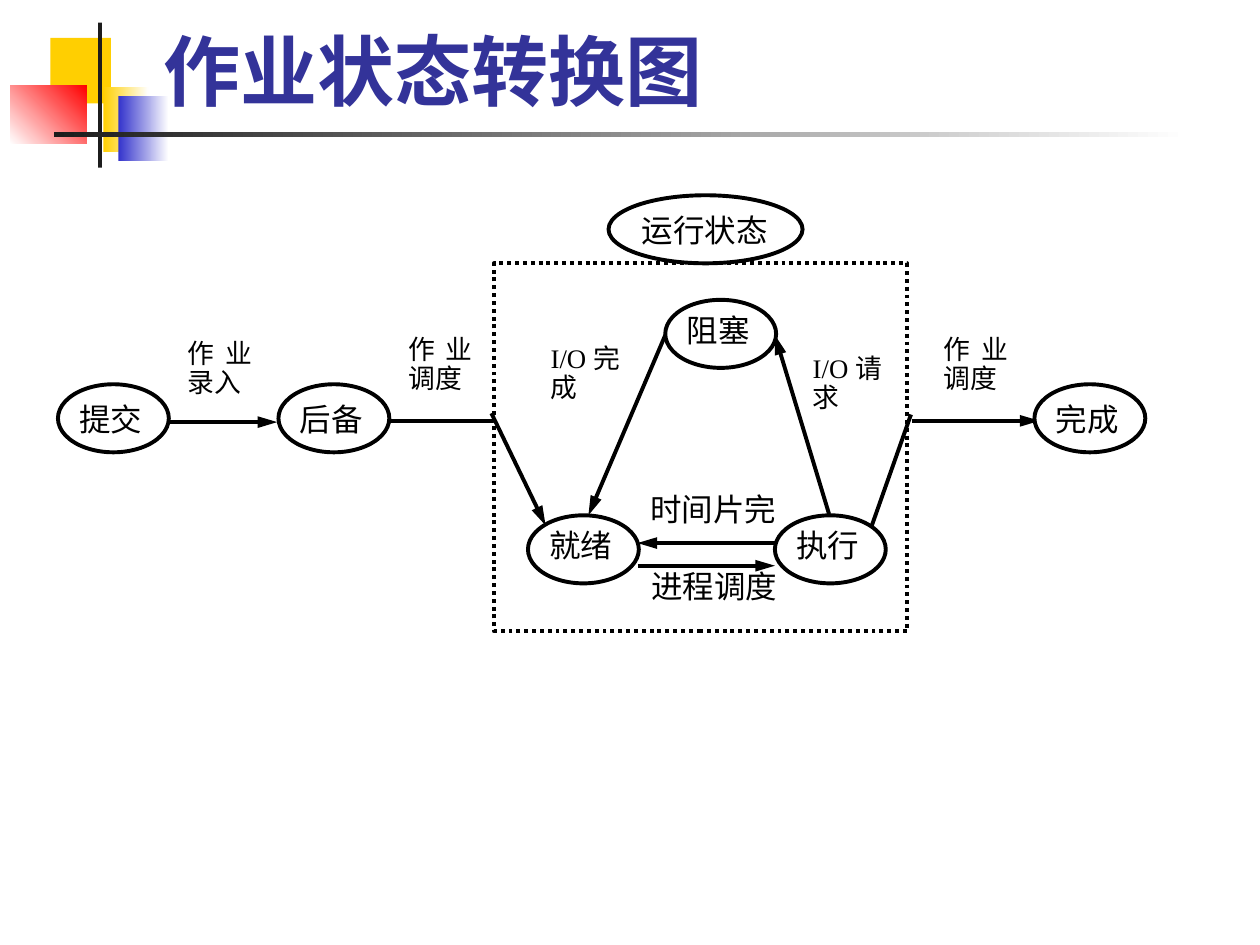
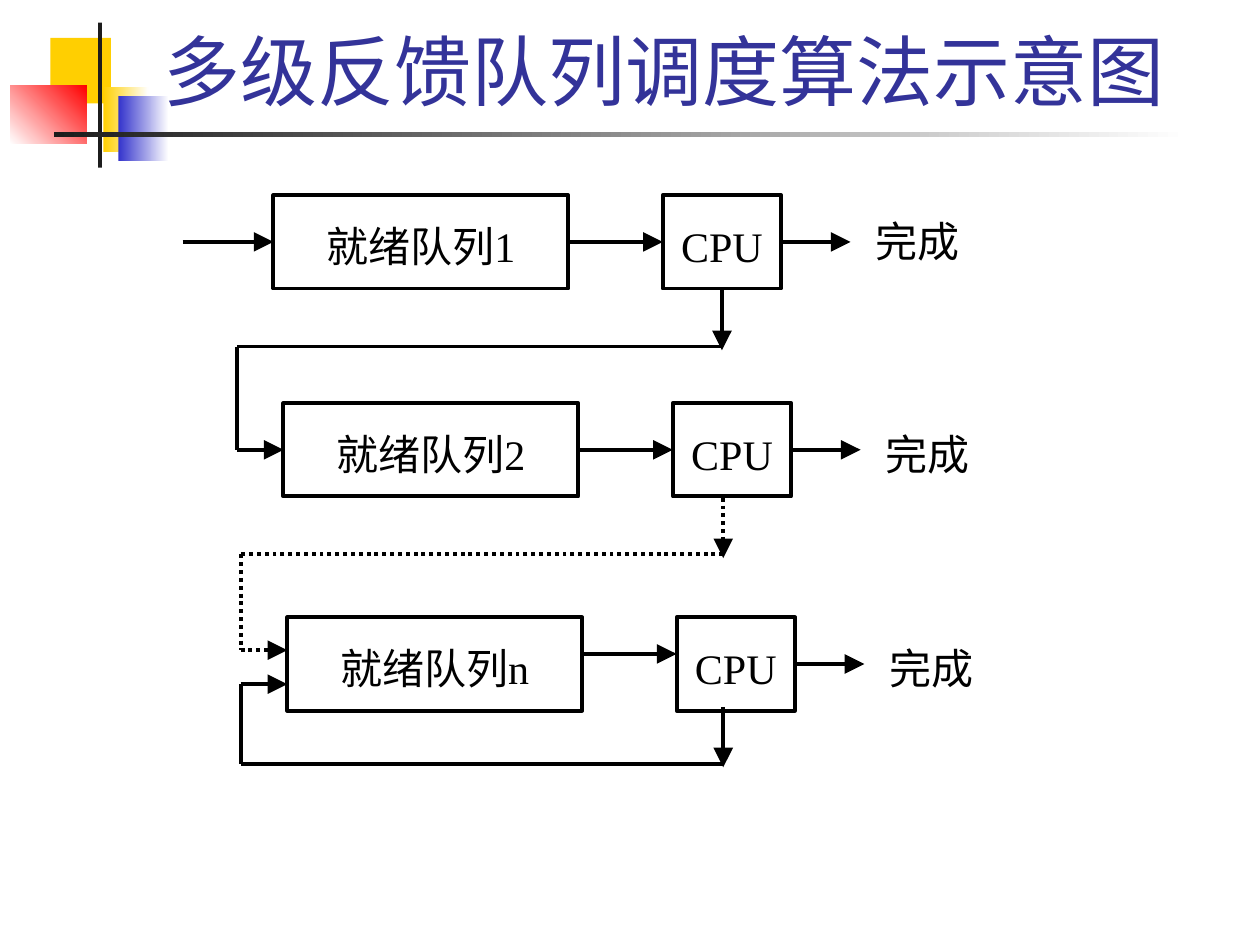
from dataclasses import dataclass

from pptx import Presentation
from pptx.dml.color import RGBColor
from pptx.enum.dml import MSO_LINE
from pptx.enum.shapes import MSO_CONNECTOR, MSO_SHAPE as SHAPE
from pptx.enum.text import MSO_ANCHOR as ANCHOR, MSO_AUTO_SIZE, PP_ALIGN as ALIGN
from pptx.oxml.ns import qn
from pptx.util import Pt
from lxml.etree import SubElement

PX = 9144  # one px is a hundredth of an inch
DOTTED = MSO_LINE.ROUND_DOT
TITLE_ONLY = 5


def px(*lengths):
    return [length * PX for length in lengths]


@dataclass(frozen=True)
class Theme:
    ink: str = "000000"
    paper: str = "FFFFFF"
    title: str = "333399"
    yellow: str = "FFCF01"
    blue: str = "3333CC"
    red: str = "FF0000"
    dark: str = "1C1C1C"
    title_font: str = "Roboto"
    body_font: str = "Times New Roman"
    title_size: float = 44
    queue_size: float = 24
    state_size: float = 18
    note_size: float = 15.3
    line_width: float = 2.25


THEME = Theme()


def write_text(tf, text, size, font=THEME.body_font, color=THEME.ink, bold=False,
               align=ALIGN.JUSTIFY, anchor=ANCHOR.TOP, insets=(0, 0, 0, 0), spacing=None):
    tf.word_wrap = True
    tf.auto_size = MSO_AUTO_SIZE.NONE
    tf.vertical_anchor = anchor
    tf.margin_left, tf.margin_top, tf.margin_right, tf.margin_bottom = px(*insets)
    p = tf.paragraphs[0]
    p.alignment = align
    if spacing:
        p.line_spacing = spacing
    r = p.add_run()
    r.text = text
    r.font.size, r.font.name, r.font.bold = Pt(size), font, bold
    r.font.color.rgb = RGBColor.from_string(color)


class Deck:
    def __init__(self, theme):
        self.theme = theme
        self.prs = Presentation()
        self.prs.slide_width, self.prs.slide_height = px(1000, 750)
        self.layout = self.prs.slide_layouts[TITLE_ONLY]
        self.slide = None

    def new_slide(self, title, bold=False):
        first = self.slide is None
        self.slide = self.prs.slides.add_slide(self.layout)
        if first:
            self.decorate_layout()
        sp = self.slide.shapes.title
        sp.left, sp.top, sp.width, sp.height = px(120, 17, 852, 80)
        t = self.theme
        write_text(sp.text_frame, title, t.title_size, font=t.title_font, color=t.title,
                   bold=bold, align=ALIGN.LEFT, anchor=ANCHOR.BOTTOM, insets=(10, 5, 10, 5))

    def decorate_layout(self):
        """Draw the corner squares and rules, then hand them to the shared layout."""
        t = self.theme
        for box, colors, angle in (
            ((40, 30, 48, 52), [t.yellow], 0),
            ((82, 69, 36, 52), [t.yellow, t.paper], 0),
            ((94, 76, 40, 52), [t.blue, t.paper], 0),
            ((8, 68, 61, 46), [t.paper, t.red], 45),
            ((78, 18, 3, 115), [t.dark], 0),
            ((43, 105, 900, 4), [t.dark, t.paper], 0),
        ):
            sp = self.shape(SHAPE.RECTANGLE, box, fill=colors[0], outlined=False)
            if len(colors) > 1:
                sp.fill.gradient()
                sp.fill.gradient_angle = angle
                for stop, color in zip(sp.fill.gradient_stops, colors):
                    stop.color.rgb = RGBColor.from_string(color)
            self.layout.shapes.element.append(sp.element)

    def style_line(self, line, dash=None):
        line.color.rgb = RGBColor.from_string(self.theme.ink)
        line.width = Pt(self.theme.line_width)
        if dash:
            line.dash_style = dash

    def shape(self, kind, box, text=None, fill=THEME.paper, outlined=True, dash=None, **fmt):
        sp = self.slide.shapes.add_shape(kind, *px(*box))
        sp.shadow.inherit = False
        sp.fill.solid()
        sp.fill.fore_color.rgb = RGBColor.from_string(fill)
        if outlined:
            self.style_line(sp.line, dash)
        else:
            sp.line.fill.background()
        if text:
            write_text(sp.text_frame, text, **fmt)
        return sp

    def state(self, left, top, text, width=88, inset=5):
        return self.shape(SHAPE.OVAL, (left, top, width, 54), text,
                          size=self.theme.state_size, insets=(4, inset, 2, inset))

    def block(self, box, text):
        return self.shape(SHAPE.RECTANGLE, box, text, size=self.theme.queue_size,
                          align=ALIGN.CENTER, insets=(10, 20, 10, 1))

    def label(self, box, text, **fmt):
        sp = self.slide.shapes.add_textbox(*px(*box))
        write_text(sp.text_frame, text, **fmt)

    def line(self, x1, y1, x2, y2, head=None, dash=None, start=None, end=None):
        """head is the arrowhead width; start and end are (shape, side) joints."""
        cx = self.slide.shapes.add_connector(MSO_CONNECTOR.STRAIGHT, *px(x1, y1, x2, y2))
        if start:
            cx.begin_connect(*start)
        if end:
            cx.end_connect(*end)
        self.style_line(cx.line, dash)
        sp_pr = cx.element.spPr
        if head:
            SubElement(sp_pr.find(qn("a:ln")), qn("a:tailEnd"), type="triangle", w=head, len="lg")
        SubElement(sp_pr, qn("a:effectLst"))


def job_states(deck):
    deck.new_slide("作业状态转换图", bold=True)

    # Frame of the running state, and the paths in and out of it
    deck.line(132, 335, 220, 335, head="med")
    deck.line(305, 334, 392, 334)
    deck.shape(SHAPE.RECTANGLE, (392, 209, 328, 292), dash=DOTTED)
    deck.line(724, 334, 825, 334, head="med")
    deck.line(390, 328, 433, 417, head="med")
    deck.line(692, 417, 723, 329)

    # Job states outside the frame
    for left, text in ((46, "提交"), (221, "后备"), (821, "完成")):
        deck.state(left, 305, text)
    deck.state(483, 155, "运行状态", width=154)

    # Process states inside the frame
    for left, top, text in ((528, 238, "阻塞"), (419, 409, "就绪"), (615, 409, "执行")):
        deck.state(left, top, text, inset=1)
    for ends in ((615, 431, 506, 431), (506, 449, 615, 449),
                 (658, 408, 615, 266), (528, 266, 467, 409)):
        deck.line(*ends, head="med")

    # Names of the transitions
    for left, top, width, text in (
        (149, 270, 51, "作业录入"), (324, 267, 51, "作业调度"), (749, 267, 51, "作业调度"),
        (645, 282, 55, "I/O请求"), (437, 274, 55, "I/O完成"),
    ):
        deck.label((left, top, width, 55), text, size=deck.theme.note_size, spacing=0.9)
    for left, top, text in ((516, 389, "时间片完"), (517, 450, "进程调度")):
        deck.label((left, top, 106, 33), text, size=deck.theme.state_size)


def queue_row(deck, left, top, name, done_top, link_y=None):
    """A queue, its CPU and the way to completion; link_y moves the link off centre."""
    middle, cpu_left = top + 37, left + 309
    queue = deck.block((left, top, 234, 74), f"就绪队列{name}")
    cpu = deck.block((cpu_left, top, 94, 74), "CPU")
    y = link_y or middle
    deck.line(left + 234, y, cpu_left, y, head="lg",
              start=None if link_y else (queue, 3), end=None if link_y else (cpu, 1))
    deck.line(cpu_left + 94, middle, left + 458, middle, head="lg", start=(cpu, 3))
    deck.label((left + 476, done_top, 76, 64), "完成",
               size=deck.theme.queue_size, insets=(2, 20, 2, 1))
    return queue, cpu


def feedback(deck, x, top, left, entry_x, entry_y, dash=None, start=None, end=None):
    """Lead unfinished work from below a CPU back to the left of a queue."""
    back_y = top + 45
    deck.line(x, top, x, top + 48, head="lg", dash=dash, start=start)
    deck.line(x, back_y, left, back_y, dash=dash)
    deck.line(left, back_y, left, entry_y, dash=dash)
    deck.line(left, entry_y, entry_x, entry_y, head="lg", dash=dash, end=end)


def feedback_queues(deck):
    deck.new_slide("多级反馈队列调度算法示意图")

    # Queues from the highest to the lowest level
    queue_1, cpu_1 = queue_row(deck, 217, 155, "1", done_top=151)
    queue_2, _ = queue_row(deck, 225, 320, "2", done_top=320)
    queue_row(deck, 228, 490, "n", done_top=490, link_y=519)

    # Arrival and the paths back
    deck.line(145, 192, 217, 192, head="lg", end=(queue_1, 1))
    feedback(deck, 573, 230, 188, 225, 357, start=(cpu_1, 2), end=(queue_2, 1))
    feedback(deck, 574, 395, 191, 228, 516, dash=DOTTED)
    feedback(deck, 574, 561, 191, 228, 543)


def main():
    deck = Deck(THEME)
    job_states(deck)
    feedback_queues(deck)
    deck.prs.save("out.pptx")


if __name__ == "__main__":
    main()
